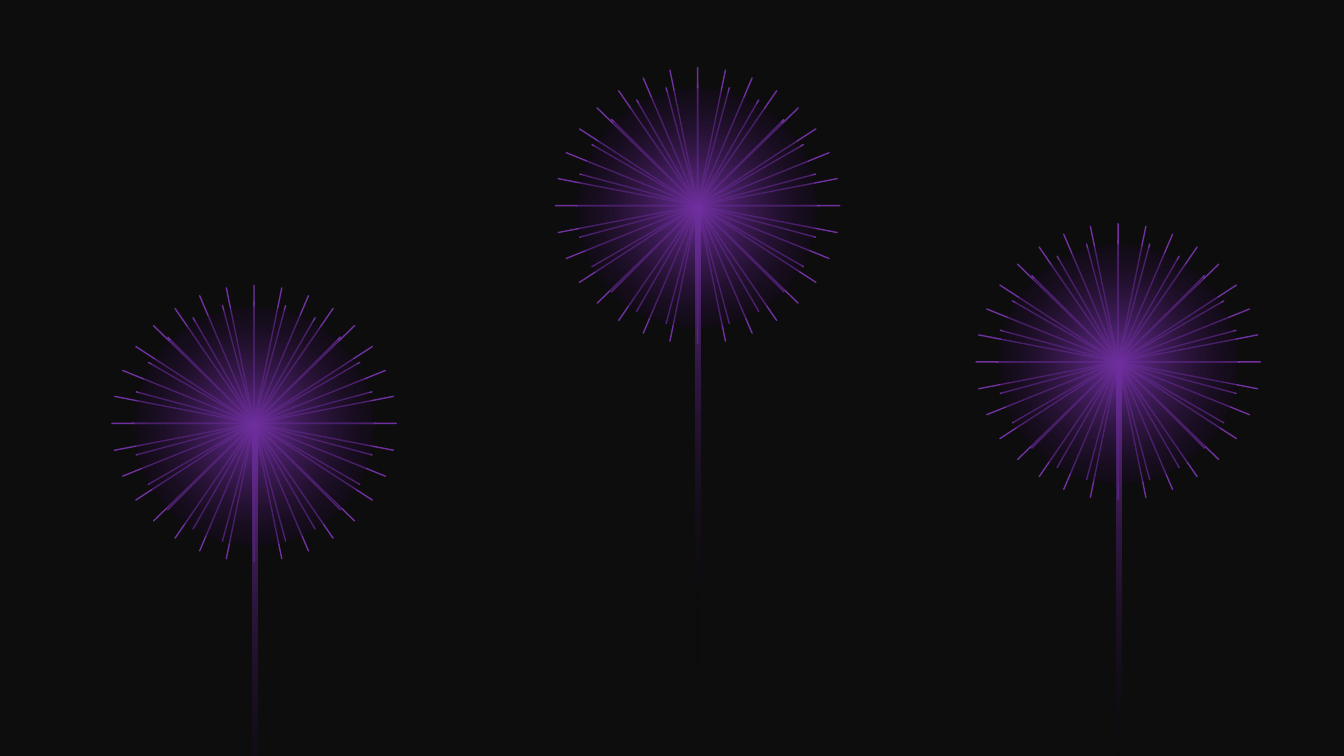
from dataclasses import dataclass

import pptx
import pptx.dml.color
import pptx.enum.shapes
import pptx.oxml
import pptx.oxml.ns
import pptx.util

Inches = pptx.util.Inches
Color = pptx.dml.color.RGBColor
Kind = pptx.enum.shapes.MSO_SHAPE

NIGHT = Color(0x0D, 0x0D, 0x0D)
PURPLE = Color(0x70, 0x30, 0xA0)
PLUM = Color(0x24, 0x0F, 0x33)
BLACK = Color(0, 0, 0)
BLUE = Color(0x5B, 0x9B, 0xD5)


@dataclass(frozen=True)
class Stop:
    place: int
    color: Color
    alpha: int = 100


@dataclass(frozen=True)
class Part:
    """A piece of a flower, placed from the flower's top left corner."""
    kind: Kind
    left: float
    top: float
    width: float
    height: float
    fill: Color | None = None
    stops: tuple[Stop, ...] = ()
    shade: str = ""


@dataclass(frozen=True)
class Flower:
    left: float
    top: float


ROUND = ('<a:path path="circle"><a:fillToRect l="50000" t="50000" '
         'r="50000" b="50000"/></a:path>')
DOWN = '<a:lin ang="5400000" scaled="0"/>'
GLOW = (Stop(0, PURPLE), Stop(60, PLUM, 50), Stop(100, BLACK, 0))
FADE = (Stop(0, PURPLE), Stop(100, BLACK, 0))

# Long rays, short rays, glow and stem, from back to front
PARTS = (
    Part(Kind.STAR_32_POINT, 0, 0, 2.82, 2.74, fill=BLUE),
    Part(Kind.STAR_24_POINT, 0.2, 0.16, 2.42, 2.42),
    Part(Kind.OVAL, 0.22, 0.21, 2.37, 2.37, stops=GLOW, shade=ROUND),
    Part(Kind.RECTANGLE, 1.39, 1.37, 0.05, 4.57, stops=FADE, shade=DOWN),
)
FLOWERS = (Flower(5.51, 0.67), Flower(1.11, 2.83), Flower(9.68, 2.22))


def blend(shape: pptx.shapes.autoshape.Shape, part: Part) -> None:
    """Fill a shape with the part's gradient."""
    stops = "".join(
        f'<a:gs pos="{s.place * 1000}"><a:srgbClr val="{s.color}">'
        f'<a:alpha val="{s.alpha * 1000}"/></a:srgbClr></a:gs>'
        for s in part.stops)
    grad = pptx.oxml.parse_xml(
        f'<a:gradFill {pptx.oxml.ns.nsdecls("a")} rotWithShape="1">'
        f'<a:gsLst>{stops}</a:gsLst>{part.shade}</a:gradFill>')
    shape.fill.gradient()
    props = shape._element.spPr
    props.replace(props.find(pptx.oxml.ns.qn("a:gradFill")), grad)


def draw(slide: pptx.slide.Slide, flower: Flower, part: Part) -> None:
    """Add one part of a flower."""
    shape = slide.shapes.add_shape(
        part.kind, Inches(flower.left + part.left),
        Inches(flower.top + part.top), Inches(part.width), Inches(part.height))
    shape.shadow.inherit = False
    if part.stops:
        blend(shape, part)
        shape.line.fill.background()
        return
    # Rays: a star whose inner radius is zero
    shape.adjustments[0] = 0
    if part.fill is None:
        shape.fill.background()
    else:
        shape.fill.solid()
        shape.fill.fore_color.rgb = part.fill
    shape.line.color.rgb = PURPLE
    shape.line.width = pptx.util.Pt(1)


def main() -> None:
    deck = pptx.Presentation()
    deck.slide_width, deck.slide_height = Inches(13.33), Inches(7.5)
    slide = deck.slides.add_slide(deck.slide_layouts[6])

    # Night sky
    slide.background.fill.solid()
    slide.background.fill.fore_color.rgb = NIGHT

    # Flowers
    for flower in FLOWERS:
        for part in PARTS:
            draw(slide, flower, part)

    deck.save("out.pptx")


if __name__ == "__main__":
    main()
